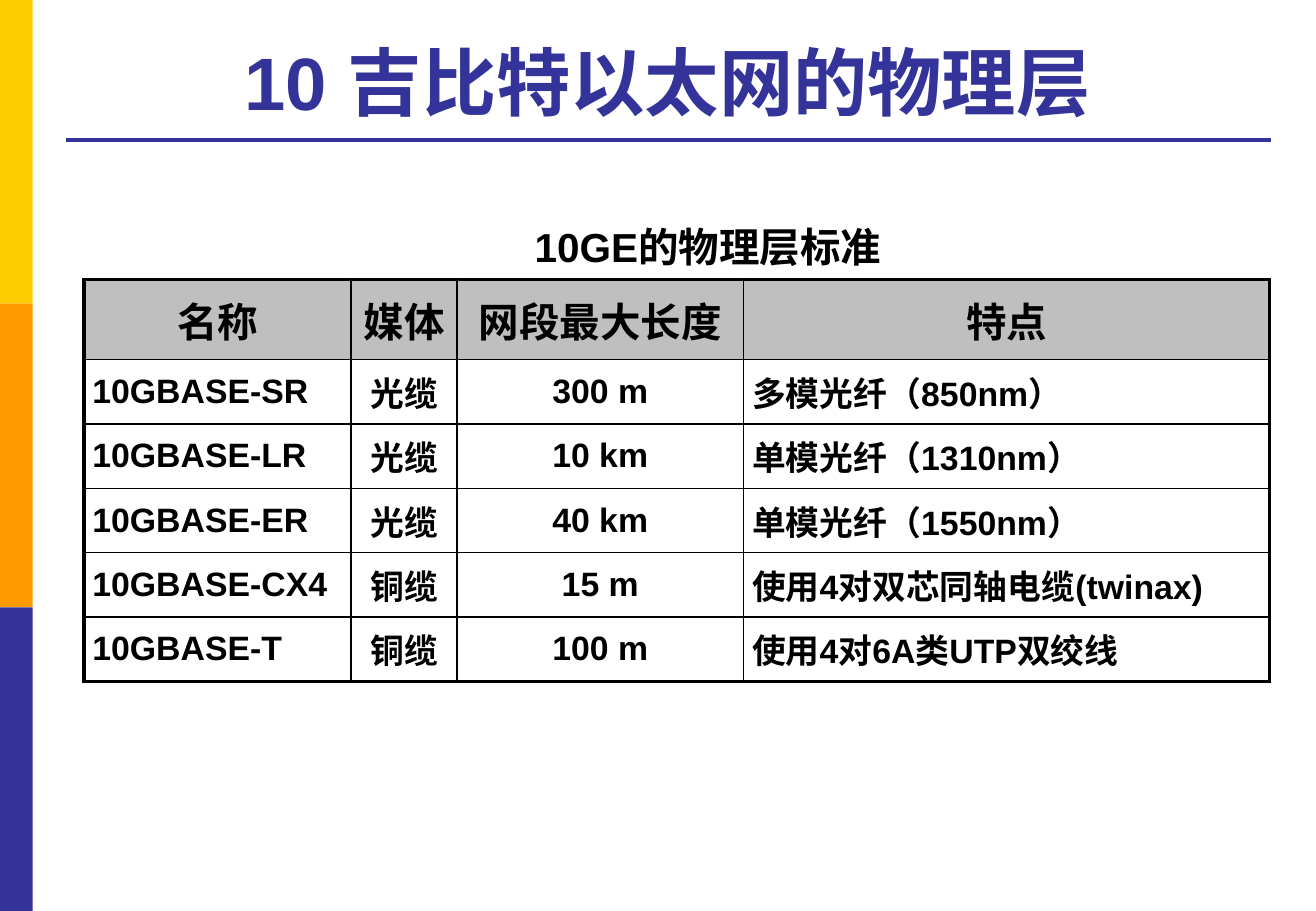
"""Build the slide on the 10 gigabit Ethernet physical layer."""
from dataclasses import dataclass

from lxml.etree import SubElement
from pptx import Presentation
from pptx.dml.color import RGBColor
from pptx.enum.shapes import MSO_CONNECTOR, MSO_SHAPE
from pptx.enum.text import MSO_ANCHOR as Anchor, PP_ALIGN as Align
from pptx.oxml.ns import qn
from pptx.slide import Slide
from pptx.table import Table, _Cell as Cell
from pptx.text.text import TextFrame
from pptx.util import Inches, Pt

FONT = "Arial"
BLACK = "000000"
NAVY = "333399"
HEADER_GRAY = "BFBFBF"
BAND_COLORS = ["FFCC00", "FF9900", NAVY]
BAND_WIDTH, BAND_HEIGHT = 0.27, 2.5
OUTER_BORDER, INNER_BORDER = 2.25, 1


@dataclass
class Label:
    text: str
    left: float
    top: float
    width: float
    height: float
    size: float
    color: str
    anchor: Anchor


@dataclass
class Column:
    header: str
    width: float
    align: Align
    values: list[str]


LABELS = [
    Label("10 吉比特以太网的物理层", 0.54, 0.21, 9.91, 0.87, 44, NAVY, Anchor.BOTTOM),
    Label("10GE的物理层标准", 2.35, 1.78, 6.95, 0.5, 24, BLACK, Anchor.MIDDLE),
]
COLUMNS = [
    Column("名称", 2.2, Align.JUSTIFY,
           ["10GBASE-SR", "10GBASE-LR", "10GBASE-ER", "10GBASE-CX4", "10GBASE-T"]),
    Column("媒体", 0.87, Align.CENTER, ["光缆", "光缆", "光缆", "铜缆", "铜缆"]),
    Column("网段最大长度", 2.36, Align.CENTER,
           ["300 m", "10 km", "40 km", "15 m", "100 m"]),
    Column("特点", 4.33, Align.JUSTIFY,
           ["多模光纤（850nm）", "单模光纤（1310nm）", "单模光纤（1550nm）",
            "使用4对双芯同轴电缆(twinax)", "使用4对6A类UTP双绞线"]),
]
ROW_HEIGHTS = [0.66] + [0.53] * 5


def rgb(color: str) -> RGBColor:
    return RGBColor.from_string(color)


def write(text_frame: TextFrame, text: str, size: float, color: str, align: Align) -> None:
    text_frame.text = text
    paragraph = text_frame.paragraphs[0]
    paragraph.alignment = align
    font = paragraph.runs[0].font
    font.name, font.size, font.bold = FONT, Pt(size), True
    font.color.rgb = rgb(color)


def add_bands(slide: Slide) -> None:
    for index, color in enumerate(BAND_COLORS):
        band = slide.shapes.add_shape(
            MSO_SHAPE.RECTANGLE, 0, Inches(index * BAND_HEIGHT),
            Inches(BAND_WIDTH), Inches(BAND_HEIGHT))
        band.shadow.inherit = False
        band.fill.solid()
        band.fill.fore_color.rgb = rgb(color)
        band.line.fill.background()


def add_title_rule(slide: Slide) -> None:
    rule = slide.shapes.add_connector(
        MSO_CONNECTOR.STRAIGHT, Inches(0.54), Inches(1.15), Inches(10.46), Inches(1.15))
    rule.line.color.rgb = rgb(NAVY)
    rule.line.width = Pt(2.25)
    SubElement(rule._element.spPr, qn("a:effectLst"))


def add_label(slide: Slide, label: Label) -> None:
    box = slide.shapes.add_textbox(
        Inches(label.left), Inches(label.top), Inches(label.width), Inches(label.height))
    text_frame = box.text_frame
    text_frame.word_wrap = True
    text_frame.vertical_anchor = label.anchor
    write(text_frame, label.text, label.size, label.color, Align.CENTER)


def set_borders(cell: Cell, widths: dict[str, float]) -> None:
    properties = cell._tc.get_or_add_tcPr()
    for side, width in widths.items():
        line = SubElement(properties, qn(f"a:ln{side}"), w=str(Pt(width)))
        fill = SubElement(line, qn("a:solidFill"))
        SubElement(fill, qn("a:srgbClr"), val=BLACK)


def fill_cell(table: Table, row: int, column: int) -> None:
    cell = table.cell(row, column)
    content = COLUMNS[column]
    is_header = row == 0
    cell.margin_left = cell.margin_right = Inches(0.07)
    cell.margin_top = cell.margin_bottom = 0
    cell.vertical_anchor = Anchor.MIDDLE
    edges = {"L": column == 0, "R": column == len(COLUMNS) - 1,
             "T": is_header, "B": row == len(ROW_HEIGHTS) - 1}
    set_borders(cell, {side: OUTER_BORDER if outer else INNER_BORDER
                       for side, outer in edges.items()})
    if is_header:
        cell.fill.solid()
        cell.fill.fore_color.rgb = rgb(HEADER_GRAY)
        write(cell.text_frame, content.header, 24, BLACK, Align.CENTER)
    else:
        cell.fill.background()
        write(cell.text_frame, content.values[row - 1], 20, BLACK, content.align)


def add_standards_table(slide: Slide) -> None:
    table = slide.shapes.add_table(
        len(ROW_HEIGHTS), len(COLUMNS), Inches(0.69), Inches(2.3),
        Inches(sum(column.width for column in COLUMNS)), Inches(sum(ROW_HEIGHTS))).table
    table.first_row = table.horz_banding = False
    for table_column, column in zip(table.columns, COLUMNS):
        table_column.width = Inches(column.width)
    for row, height in enumerate(ROW_HEIGHTS):
        table.rows[row].height = Inches(height)
        for column in range(len(COLUMNS)):
            fill_cell(table, row, column)


def main() -> None:
    presentation = Presentation()
    presentation.slide_width = Inches(10.83)
    presentation.slide_height = Inches(7.5)
    slide = presentation.slides.add_slide(presentation.slide_layouts[6])
    add_bands(slide)
    add_title_rule(slide)
    add_standards_table(slide)
    for label in LABELS:
        add_label(slide, label)
    presentation.save("out.pptx")


if __name__ == "__main__":
    main()
